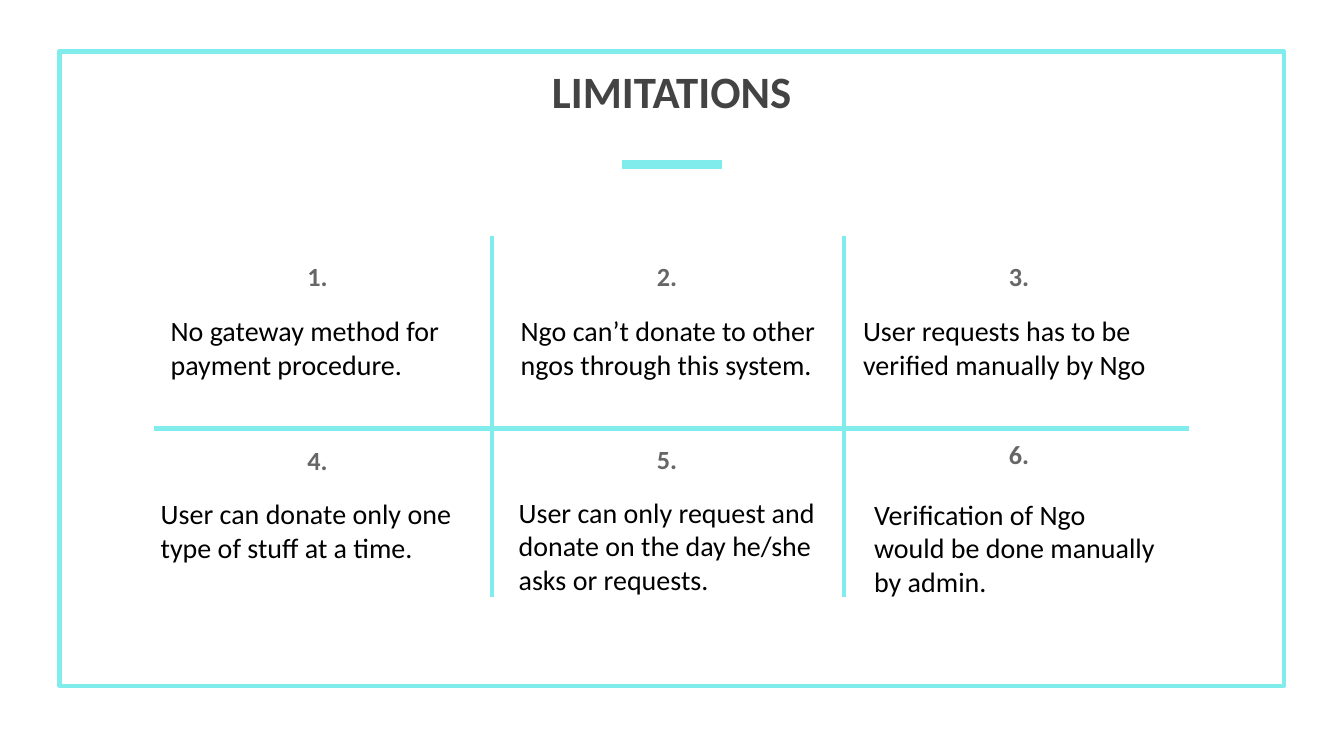
from lxml.etree import SubElement
from pptx import Presentation
from pptx.dml.color import RGBColor
from pptx.enum.shapes import MSO_CONNECTOR, MSO_SHAPE
from pptx.enum.text import MSO_ANCHOR, PP_ALIGN
from pptx.oxml.ns import qn
from pptx.util import Cm, Pt

AQUA = RGBColor(0x81, 0xEC, 0xEC)
CHARCOAL = RGBColor(0x43, 0x43, 0x43)
GREY = RGBColor(0x66, 0x66, 0x66)
BLACK = RGBColor(0, 0, 0)

NUMBER_LEFTS = (4.09, 12.9, 21.77)
NUMBER_WIDTH = 7.82
CELL_HEIGHT = 2.39
DIVIDER_Y = 10.8
LIMITATIONS = (
    (5.31, 3.96, 7.57, 8.08, "No gateway method for payment procedure."),
    (5.31, 12.78, 7.57, 8.46, "Ngo can’t donate to other ngos through this system."),
    (5.31, 21.41, 7.57, 9.4, "User requests has to be verified manually by Ngo"),
    (9.96, 3.71, 12.17, 8.76, "User can donate only one type of stuff at a time."),
    (9.93, 12.73, 12.14, 8.59,
     "User can only request and donate on the day he/she asks or requests."),
    (9.8, 21.69, 12.19, 7.82, "Verification of Ngo would be done manually by admin."),
)


class SlideBuilder:
    """Draws the elements of one slide in a shared style, with lengths in centimetres."""

    def __init__(self, slide, font_name, accent):
        self.slide = slide
        self.font_name = font_name
        self.accent = accent

    def frame(self, left, top, width, height, weight):
        shape = self.slide.shapes.add_shape(
            MSO_SHAPE.RECTANGLE, Cm(left), Cm(top), Cm(width), Cm(height))
        shape.shadow.inherit = False
        shape.fill.background()
        shape.line.color.rgb = self.accent
        shape.line.width = Pt(weight)

    def line(self, start_x, start_y, end_x, end_y, weight):
        connector = self.slide.shapes.add_connector(
            MSO_CONNECTOR.STRAIGHT, Cm(start_x), Cm(start_y), Cm(end_x), Cm(end_y))
        connector.line.color.rgb = self.accent
        connector.line.width = Pt(weight)
        SubElement(connector._element.spPr, qn("a:effectLst"))

    def text(self, left, top, width, height, text, size, color):
        box = self.slide.shapes.add_textbox(Cm(left), Cm(top), Cm(width), Cm(height))
        frame = box.text_frame
        frame.word_wrap = True
        frame.margin_left = frame.margin_right = Cm(0.34)
        frame.margin_top = frame.margin_bottom = Cm(0.34)
        frame.text = text
        paragraph = frame.paragraphs[0]
        paragraph.font.name = self.font_name
        paragraph.font.size = Pt(size)
        paragraph.font.color.rgb = color
        return frame

    def heading(self, left, top, width, height, text, size, color):
        frame = self.text(left, top, width, height, text, size, color)
        frame.vertical_anchor = MSO_ANCHOR.BOTTOM
        paragraph = frame.paragraphs[0]
        paragraph.alignment = PP_ALIGN.CENTER
        paragraph.line_spacing = 0.9
        paragraph.font.bold = True


presentation = Presentation()
presentation.slide_width = Cm(33.87)
presentation.slide_height = Cm(19.05)
slide = presentation.slides.add_slide(presentation.slide_layouts[6])
builder = SlideBuilder(slide, "Calibri", AQUA)

builder.frame(1.5, 1.3, 30.86, 15.98, 3)
builder.heading(1.65, 1.37, 30.56, 1.96, "LIMITATIONS", 32, CHARCOAL)
builder.line(15.67, 4.14, 18.19, 4.14, 6)
for divider_x in (12.39, 21.26):
    builder.line(divider_x, 5.94, divider_x, 15.04, 3)
builder.line(3.89, DIVIDER_Y, 29.97, DIVIDER_Y, 3)
for number_left in NUMBER_LEFTS:
    builder.line(number_left + 0.1, DIVIDER_Y, number_left + 7.75, DIVIDER_Y, 2.25)

for index, (number_top, left, top, width, limitation) in enumerate(LIMITATIONS):
    number_left = NUMBER_LEFTS[index % len(NUMBER_LEFTS)]
    builder.heading(number_left, number_top, NUMBER_WIDTH, CELL_HEIGHT,
                    f"{index + 1}.", 18.7, GREY)
    builder.text(left, top, width, CELL_HEIGHT, limitation, 20, BLACK)

presentation.save("out.pptx")
